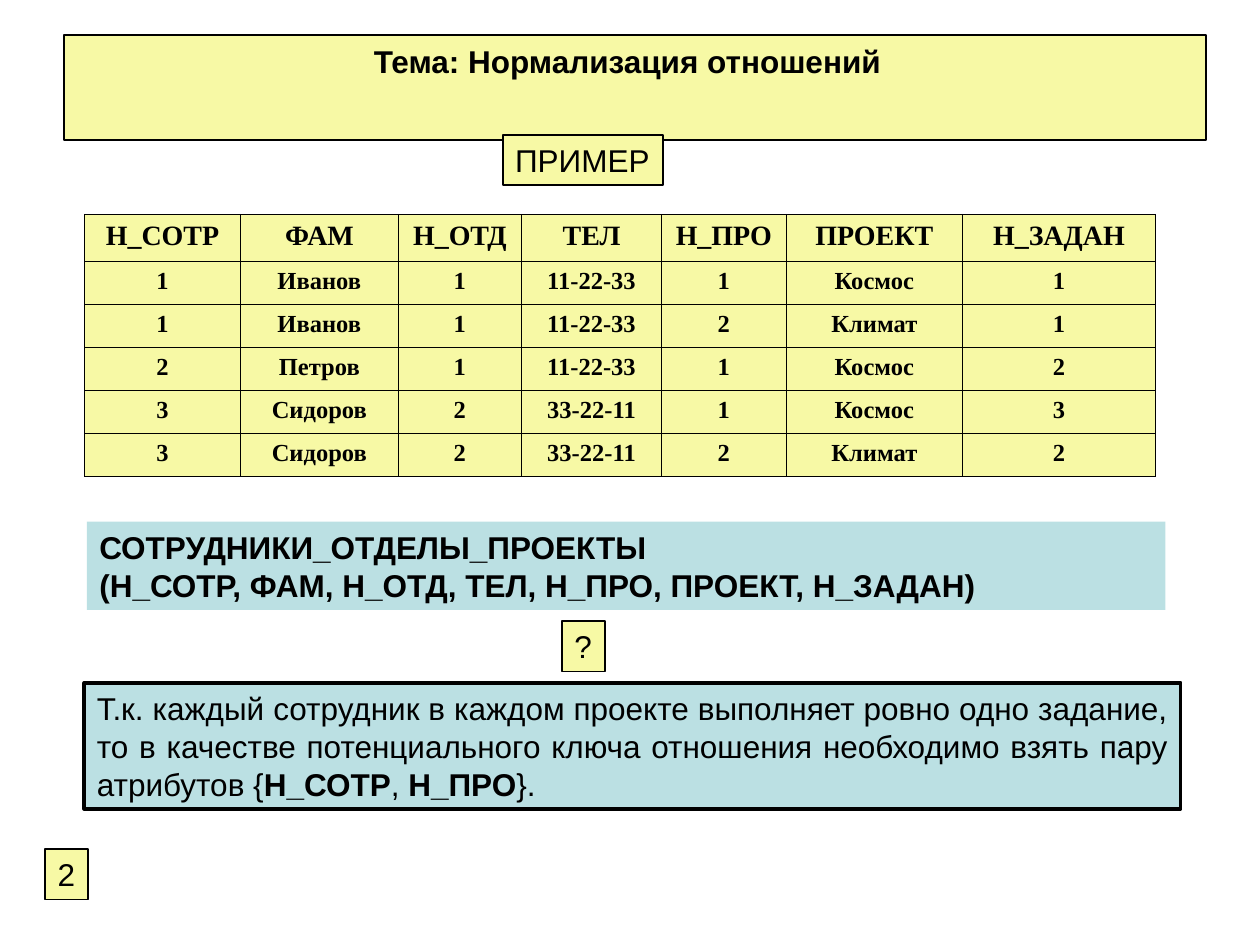
from dataclasses import dataclass

from lxml.etree import SubElement
from pptx import Presentation
from pptx.dml.color import RGBColor as RGB
from pptx.enum.shapes import MSO_SHAPE as Shape
from pptx.enum.text import MSO_ANCHOR as Anchor, MSO_AUTO_SIZE as AutoSize, PP_ALIGN as Align
from pptx.oxml.ns import qn
from pptx.util import Inches, Pt


@dataclass(frozen=True)
class Theme:
    cream: RGB = RGB(0xF7, 0xF9, 0xA5)
    aqua: RGB = RGB(0xBB, 0xE0, 0xE3)
    ink: RGB = RGB(0, 0, 0)
    sans: str = "Arial"
    serif: str = "Times New Roman"
    body: Pt = Pt(18)
    header: Pt = Pt(16)
    cell: Pt = Pt(14)
    thin: Pt = Pt(1)
    thick: Pt = Pt(2.25)
    rule: Pt = Pt(0.45)


theme = Theme()
deck = Presentation()
deck.slide_width, deck.slide_height = Inches(10), Inches(7.5)
col, row = deck.slide_width / 100, deck.slide_height / 100
slide = deck.slides.add_slide(deck.slide_layouts[5])


def style_text(paragraph, face, size, bold, align):
    paragraph.alignment = align
    font = paragraph.font
    font.name, font.size, font.bold = face, size, bold
    font.color.rgb = theme.ink


def style_box(box, area, fill, border, anchor, wrap=True):
    left, top, width, height = area
    box.left, box.top = int(left * col), int(top * row)
    box.width, box.height = int(width * col), int(height * row)
    box.fill.solid()
    box.fill.fore_color.rgb = fill
    if border:
        box.line.color.rgb = theme.ink
        box.line.width = border
    else:
        box.line.fill.background()
    frame = box.text_frame
    frame.word_wrap = wrap
    frame.auto_size = AutoSize.SHAPE_TO_FIT_TEXT
    frame.vertical_anchor = anchor
    return frame


title = slide.shapes.title
heading = style_box(title, (5.1, 3.73, 90.6, 5.33), theme.cream, theme.thin, Anchor.TOP)
heading.margin_right = Inches(0.22)
heading.text = "Тема: Нормализация отношений"
style_text(heading.paragraphs[0], theme.sans, theme.body, True, Align.CENTER)

labels = [
    ("ПРИМЕР", 39.9, 14.27, 12.7),
    ("2", 3.6, 89.87, 3.4),
    ("?", 44.6, 65.73, 3.4),
]
for label, left, top, width in labels:
    tag = slide.shapes.add_shape(Shape.RECTANGLE, 0, 0, 0, 0)
    tag.shadow.inherit = False
    caption = style_box(tag, (left, top, width, 5.33), theme.cream, theme.thin, Anchor.TOP, False)
    caption.text = label
    style_text(caption.paragraphs[0], theme.sans, theme.body, False, Align.LEFT)

records = [
    ("Н_СОТР", "ФАМ", "Н_ОТД", "ТЕЛ", "Н_ПРО", "ПРОЕКТ", "Н_ЗАДАН"),
    ("1", "Иванов", "1", "11-22-33", "1", "Космос", "1"),
    ("1", "Иванов", "1", "11-22-33", "2", "Климат", "1"),
    ("2", "Петров", "1", "11-22-33", "1", "Космос", "2"),
    ("3", "Сидоров", "2", "33-22-11", "1", "Космос", "3"),
    ("3", "Сидоров", "2", "33-22-11", "2", "Климат", "2"),
]
widths = [12.4, 12.5, 9.8, 11.1, 9.9, 14, 15.3]
heights = [4.97] + [4.55] * 5
employees = slide.shapes.add_table(
    len(records), len(widths), int(6.7 * col), int(22.67 * row),
    int(sum(widths) * col), int(sum(heights) * row),
).table
for column, width in zip(employees.columns, widths):
    column.width = int(width * col)
for r, (record, height) in enumerate(zip(records, heights)):
    employees.rows[r].height = int(height * row)
    for c, entry in enumerate(record):
        cell = employees.cell(r, c)
        cell.text = entry
        size = theme.cell if r else theme.header
        style_text(cell.text_frame.paragraphs[0], theme.serif, size, True, Align.CENTER)
        properties = cell._tc.get_or_add_tcPr()
        for side in ("a:lnL", "a:lnR", "a:lnT", "a:lnB"):
            edge = SubElement(properties, qn(side), w=str(theme.rule))
            SubElement(SubElement(edge, qn("a:solidFill")), qn("a:srgbClr"), val=str(theme.ink))
        cell.fill.solid()
        cell.fill.fore_color.rgb = theme.cream

panels = [
    ((6.9, 55.2, 85.6, 9.33), None, True, [
        [("СОТРУДНИКИ_ОТДЕЛЫ_ПРОЕКТЫ", True)],
        [("(Н_СОТР, ФАМ, Н_ОТД, ТЕЛ, Н_ПРО, ПРОЕКТ, Н_ЗАДАН)", True)],
    ]),
    ((6.7, 72.27, 87, 13.33), theme.thick, False, [[
        ("Т.к. каждый сотрудник в каждом проекте выполняет ровно одно задание, "
         "то в качестве потенциального ключа отношения необходимо взять пару атрибутов {", False),
        ("Н_СОТР", True), (", ", False), ("Н_ПРО", True), ("}.", False),
    ]]),
]
for area, border, bold, paragraphs in panels:
    panel = slide.shapes.add_shape(Shape.RECTANGLE, 0, 0, 0, 0)
    panel.shadow.inherit = False
    statement = style_box(panel, area, theme.aqua, border, Anchor.MIDDLE)
    for i, pieces in enumerate(paragraphs):
        paragraph = statement.add_paragraph() if i else statement.paragraphs[0]
        style_text(paragraph, theme.sans, theme.body, bold, Align.JUSTIFY)
        for words, strong in pieces:
            run = paragraph.add_run()
            run.text = words
            if strong != bold:
                run.font.bold = strong

deck.save("out.pptx")
